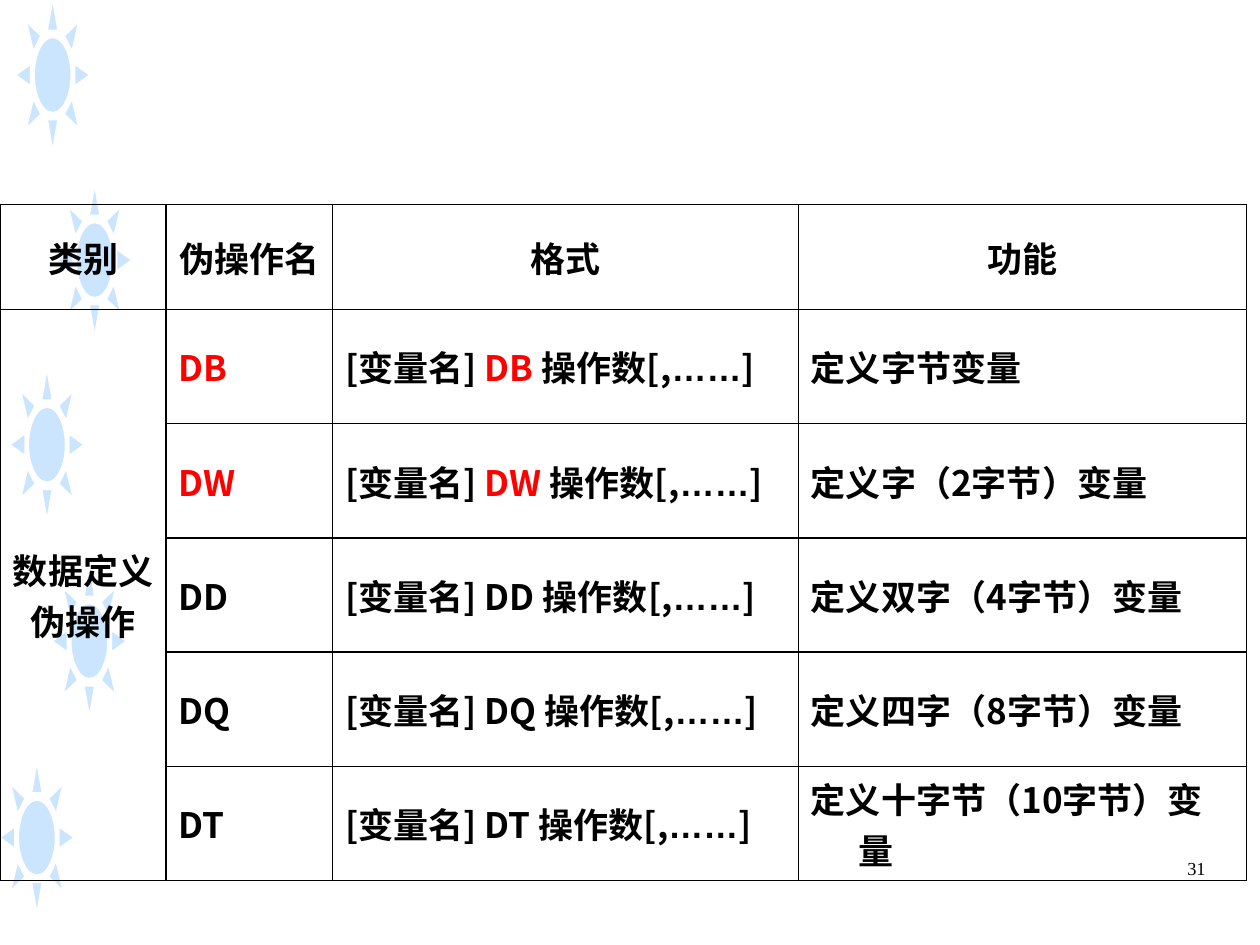
from dataclasses import dataclass

from lxml.etree import SubElement
from pptx import Presentation
from pptx.dml.color import RGBColor
from pptx.enum.shapes import MSO_SHAPE
from pptx.enum.text import MSO_ANCHOR, PP_ALIGN
from pptx.oxml.ns import qn
from pptx.util import Pt


@dataclass(frozen=True)
class Theme:
    """Colours, fonts and sizes of the slide."""
    ink: str = "000000"
    accent: str = "FF0000"
    sun: str = "99CCFF"
    paper: str = "FFFFFF"
    body_font: str = "Noto Sans CJK SC"
    dots_font: str = "Arial"
    number_font: str = "Times New Roman"
    body_size: float = 20
    number_size: float = 10.5
    indent: float = 27


class SlideBuilder:
    """Draws styled elements on the current slide."""

    def __init__(self, page, theme):
        self.page = page
        self.theme = theme

    def sun(self, left, top, width, height):
        """Draw one half-transparent sun."""
        shape = self.page.shapes.add_shape(
            MSO_SHAPE.SUN, Pt(left), Pt(top), Pt(width), Pt(height))
        shape.shadow.inherit = False
        shape.fill.solid()
        shape.fill.fore_color.rgb = RGBColor.from_string(self.theme.sun)
        colour = shape.fill._xPr.find(qn("a:solidFill"))[0]
        SubElement(colour, qn("a:alpha"), val="50000")
        shape.line.color.rgb = RGBColor.from_string(self.theme.paper)
        shape.line.width = Pt(0.75)

    def span(self, para, text, colour, font, size, bold=False):
        """Add one formatted run to a paragraph."""
        span = para.add_run()
        span.text = text
        span.font.name = font
        span.font.size = Pt(size)
        span.font.bold = bold
        span.font.color.rgb = RGBColor.from_string(colour)
        return span

    def number(self, text, left, top, width, height):
        """Write the right-aligned slide number."""
        box = self.page.shapes.add_textbox(Pt(left), Pt(top), Pt(width), Pt(height))
        box.text_frame.word_wrap = True
        para = box.text_frame.paragraphs[0]
        para.alignment = PP_ALIGN.RIGHT
        self.span(para, text, self.theme.ink, self.theme.number_font,
                  self.theme.number_size)

    def table(self, left, top, widths, heights):
        """Add an empty table with unfilled, bordered cells."""
        frame = self.page.shapes.add_table(
            len(heights), len(widths), Pt(left), Pt(top),
            Pt(sum(widths)), Pt(sum(heights)))
        table = frame.table
        table.first_row = table.horz_banding = False
        for column, width in zip(table.columns, widths):
            column.width = Pt(width)
        for row, height in zip(table.rows, heights):
            row.height = Pt(height)
        for cell in table.iter_cells():
            self.border(cell)
            cell.fill.background()
            cell.vertical_anchor = MSO_ANCHOR.MIDDLE
        return table

    def border(self, cell):
        """Outline all four sides of a cell."""
        properties = cell._tc.get_or_add_tcPr()
        for side in ("a:lnL", "a:lnR", "a:lnT", "a:lnB"):
            line = SubElement(properties, qn(side), w=str(Pt(1)))
            fill = SubElement(line, qn("a:solidFill"))
            SubElement(fill, qn("a:srgbClr"), val=self.theme.ink)

    def cell(self, cell, lines, align=PP_ALIGN.LEFT):
        """Fill a cell with paragraphs of (text, colour, font) runs."""
        frame = cell.text_frame
        for index, runs in enumerate(lines):
            para = frame.add_paragraph() if index else frame.paragraphs[0]
            para.alignment = align
            properties = para._p.get_or_add_pPr()
            properties.set("marL", str(Pt(self.theme.indent)))
            properties.set("indent", str(-Pt(self.theme.indent)))
            for text, colour, font in runs:
                span = self.span(para, text, colour, font, self.theme.body_size, True)
                SubElement(span.font._element, qn("a:ea"),
                           typeface=self.theme.body_font)


SUNS = [(9, 0), (33, 105.75), (5.75, 211.25), (30, 323.5), (0, 435.75)]
HEADINGS = ["类别", "伪操作名", "格式", "功能"]
CATEGORY = ["数据定义", "伪操作"]
DIRECTIVES = [
    ("DB", "定义字节变量", True),
    ("DW", "定义字（2字节）变量", True),
    ("DD", "定义双字（4字节）变量", False),
    ("DQ", "定义四字（8字节）变量", False),
    ("DT", "定义十字节（10字节）变量", False),
]


def main():
    """Build and save the deck."""
    deck = Presentation()
    deck.slide_width, deck.slide_height = Pt(720), Pt(540)
    page = deck.slides.add_slide(deck.slide_layouts[6])
    theme = Theme()
    builder = SlideBuilder(page, theme)

    for left, top in SUNS:
        builder.sun(left, top, 42.25, 85.75)
    builder.number("31", 516, 486, 180, 37.5)

    def plain(text, colour=theme.ink, font=theme.body_font):
        return text, colour, font

    table = builder.table(0, 116.8, [95, 95, 266.25, 256.25],
                          [60] + [65.3] * len(DIRECTIVES))
    for column, heading in enumerate(HEADINGS):
        builder.cell(table.cell(0, column), [[plain(heading)]], PP_ALIGN.CENTER)

    category = table.cell(1, 0)
    category.merge(table.cell(len(DIRECTIVES), 0))
    builder.cell(category, [[plain(line)] for line in CATEGORY], PP_ALIGN.CENTER)

    for row, (name, purpose, marked) in enumerate(DIRECTIVES, start=1):
        colour = theme.accent if marked else theme.ink
        syntax = [plain("[变量名] "), plain(f"{name} ", colour), plain("操作数[,"),
                  plain("……", font=theme.dots_font), plain("]")]
        builder.cell(table.cell(row, 1), [[plain(name, colour)]])
        builder.cell(table.cell(row, 2), [syntax])
        builder.cell(table.cell(row, 3), [[plain(purpose)]])

    deck.save("out.pptx")


if __name__ == "__main__":
    main()
